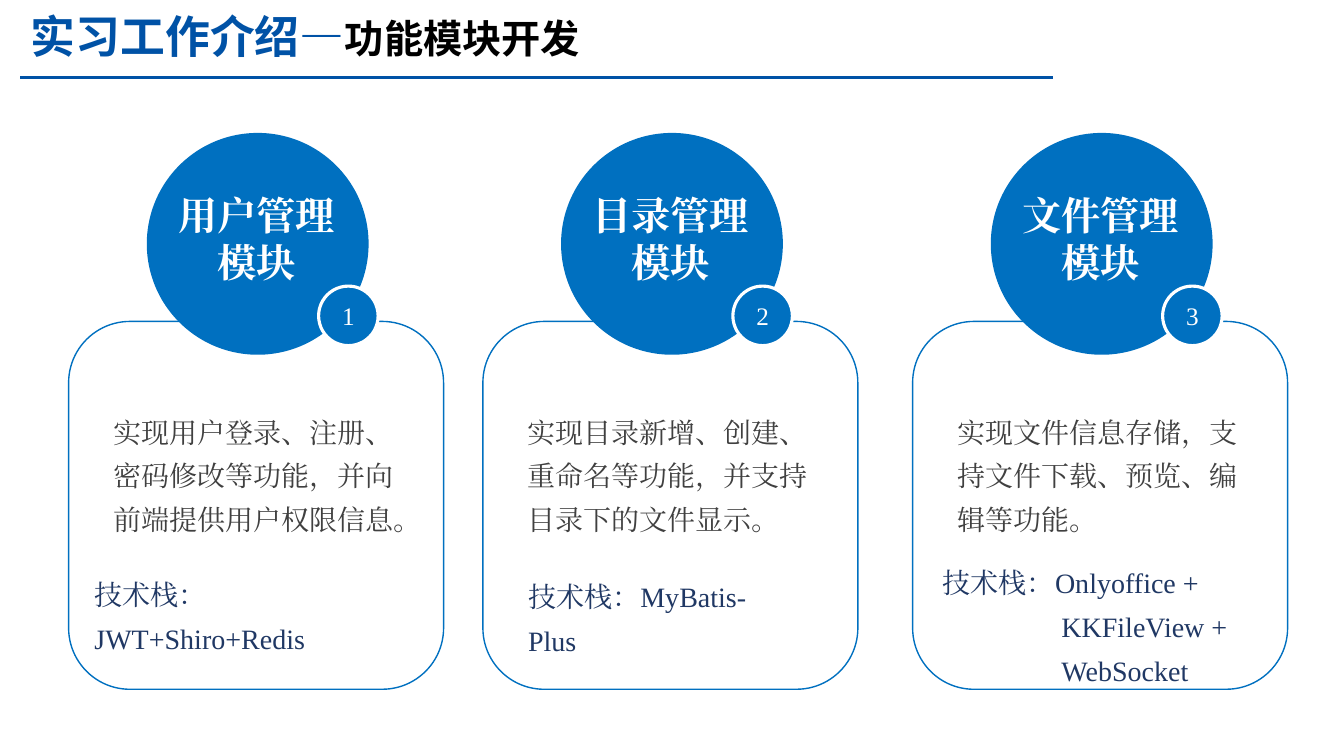
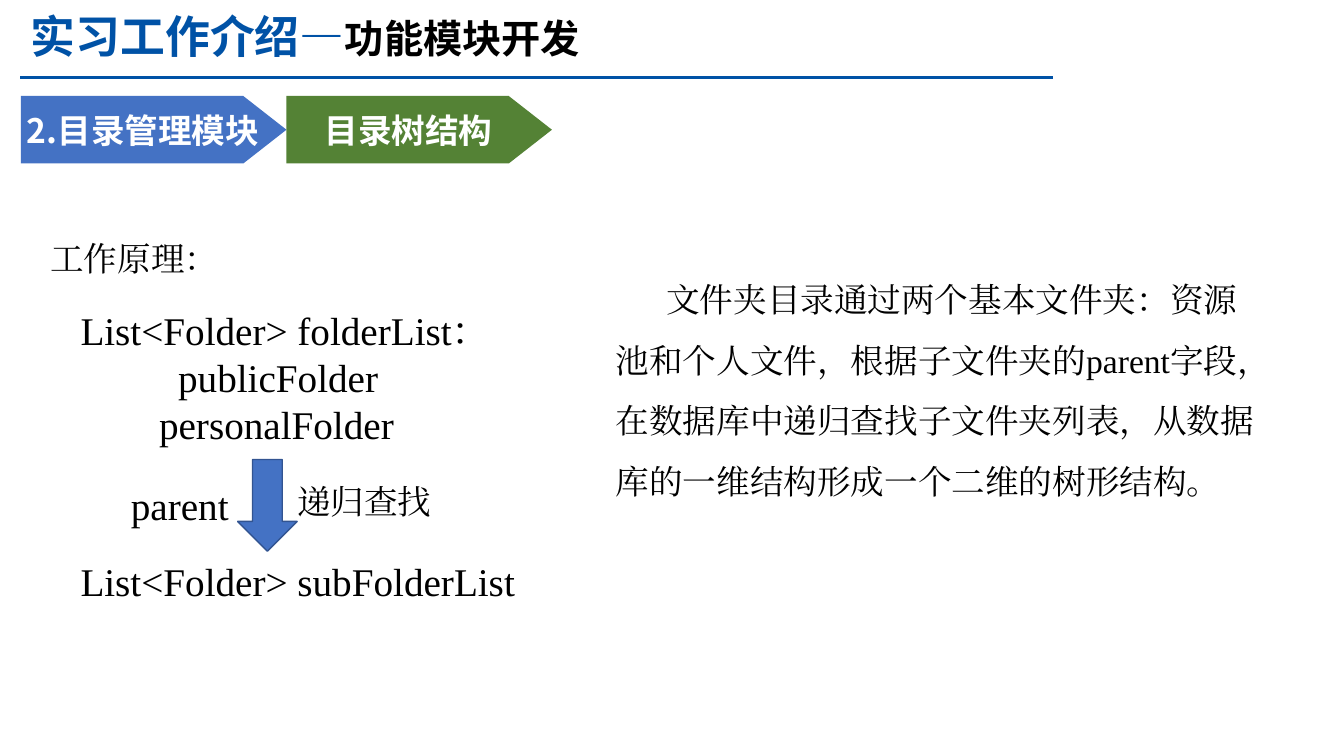
from lxml import etree
from pptx import Presentation
from pptx.dml.color import RGBColor
from pptx.enum.shapes import MSO_CONNECTOR, MSO_SHAPE
from pptx.enum.text import MSO_ANCHOR, MSO_AUTO_SIZE, PP_ALIGN
from pptx.oxml.ns import qn
from pptx.util import Cm, Pt

ROUND_RECT = MSO_SHAPE.ROUNDED_RECTANGLE
ELLIPSE = MSO_SHAPE.OVAL
DOWN_ARROW = MSO_SHAPE.DOWN_ARROW
HOME_PLATE = MSO_SHAPE.PENTAGON
LEFT, CENTER = PP_ALIGN.LEFT, PP_ALIGN.CENTER
TOP, MIDDLE = MSO_ANCHOR.TOP, MSO_ANCHOR.MIDDLE

SERIF = "Times New Roman"
SANS = "Noto Sans CJK SC"
TITLE_BLUE = "0052A6"
MODULE_BLUE = "0070C0"
STEP_BLUE = "4472C4"
STEP_GREEN = "548235"
ARROW_EDGE = "325491"
STACK_NAVY = "203864"
BODY_GREY = "404040"
BLACK = "000000"
WHITE = "FFFFFF"

TITLE_PARTS = [("实习工作介绍—", 32, TITLE_BLUE), ("功能模块开发", 28, BLACK)]

# Each module: card left, name, duties, stack (left offset, top, width, lines)
MODULES = [
    (1.73, "用户管理", "实现用户登录、注册、密码修改等功能，并向前端提供用户权限信息。",
     (0.4, 14.17, 7.4, ["技术栈：JWT+Shiro+Redis"])),
    (12.17, "目录管理", "实现目录新增、创建、重命名等功能，并支持目录下的文件显示。",
     (0.89, 14.22, 6.9, ["技术栈：MyBatis-Plus"])),
    (23.0, "文件管理", "实现文件信息存储，支持文件下载、预览、编辑等功能。",
     (0.51, 13.87, 8.5, ["技术栈：Onlyoffice +", "KKFileView +", "WebSocket"])),
]


def rgb(value):
    """Turn a hex string into a colour."""
    return RGBColor.from_string(value)


def style_run(run, size, color, bold=False, latin=SERIF, asian=SERIF):
    """Format one run, with a typeface for Latin and for Chinese text."""
    font = run.font
    font.size, font.bold, font.name = Pt(size), bold, latin
    font.color.rgb = rgb(color)
    etree.SubElement(run._r.get_or_add_rPr(), qn("a:ea")).set("typeface", asian)


def write(frame, lines, size, color, align=LEFT, spacing=1.0, indents=(), **style):
    """Fill a text frame with paragraphs of one style."""
    frame.text = "\n".join(lines)
    for paragraph in frame.paragraphs:
        paragraph.alignment, paragraph.line_spacing = align, spacing
        for run in paragraph.runs:
            style_run(run, size, color, **style)
    for paragraph, (margin, first) in zip(frame.paragraphs, indents):
        properties = paragraph._p.get_or_add_pPr()
        properties.set("marL", str(Cm(margin)))
        properties.set("indent", str(Cm(first)))


def set_insets(frame, horizontal, vertical):
    """Set equal side insets and equal top and bottom insets."""
    frame.margin_left = frame.margin_right = Cm(horizontal)
    frame.margin_top = frame.margin_bottom = Cm(vertical)


def add_text(slide, box, lines, size, color, insets=(0.25, 0.13), **style):
    """Add a wrapping text box."""
    frame = slide.shapes.add_textbox(*map(Cm, box)).text_frame
    frame.word_wrap = True
    set_insets(frame, *insets)
    write(frame, lines, size, color, **style)


def add_figure(slide, kind, box, fill=None, edge=None, width=1):
    """Add a preset shape with an optional fill and outline."""
    figure = slide.shapes.add_shape(kind, *map(Cm, box))
    figure.shadow.inherit = False
    if fill:
        figure.fill.solid()
        figure.fill.fore_color.rgb = rgb(fill)
    else:
        figure.fill.background()
    if edge:
        figure.line.color.rgb = rgb(edge)
        figure.line.width = Pt(width)
    else:
        figure.line.fill.background()
    return figure


def add_titled_slide(deck):
    """Add a slide with the shared title and the rule under it."""
    slide = deck.slides.add_slide(deck.slide_layouts[5])
    title = slide.shapes.title
    title.left, title.top, title.width, title.height = map(Cm, (0.53, 0.36, 22.33, 1.19))
    frame = title.text_frame
    frame.auto_size, frame.vertical_anchor = MSO_AUTO_SIZE.NONE, TOP
    set_insets(frame, 0.25, 0)
    heading = frame.paragraphs[0]
    heading.alignment, heading.line_spacing = LEFT, 0.9
    for text, size, color in TITLE_PARTS:
        run = heading.add_run()
        run.text = text
        style_run(run, size, color, bold=True, asian=SANS)
    rule = slide.shapes.add_connector(
        MSO_CONNECTOR.STRAIGHT, Cm(0.51), Cm(1.96), Cm(26.54), Cm(1.96))
    rule.line.color.rgb = rgb(TITLE_BLUE)
    rule.line.width = Pt(2.25)
    etree.SubElement(rule._element.spPr, qn("a:effectLst"))
    return slide


def add_module(slide, number, left, name, duties, stack):
    """Add one module: card, name circle, number badge and texts."""
    add_figure(slide, ROUND_RECT, (left, 8.1, 9.45, 9.27), edge=MODULE_BLUE)
    add_figure(slide, ELLIPSE, (left + 1.97, 3.35, 5.59, 5.59), MODULE_BLUE)
    badge = add_figure(slide, ELLIPSE, (left + 6.3, 7.21, 1.5, 1.5), MODULE_BLUE, WHITE, 2.25)
    badge.text_frame.vertical_anchor = MIDDLE
    write(badge.text_frame, [str(number)], 18, WHITE, align=CENTER)
    add_text(slide, (left + 2.26, 4.7, 4.95, 2.64), [name, "模块"], 28, WHITE,
             align=CENTER, bold=True)
    add_text(slide, (left + 1.12, 10.21, 7.75, 3.33), [duties], 20, BODY_GREY,
             insets=(0, 0), spacing=1.3)
    offset, top, width, lines = stack
    add_text(slide, (left + offset, top, width, 1.37 * max(2, len(lines))), lines, 20,
             STACK_NAVY, spacing=1.3, indents=[(0, 0), (2.99, 0), (2.99, 0)])


def add_step(slide, left, text, fill):
    """Add one pentagon of the breadcrumb."""
    step = add_figure(slide, HOME_PLATE, (left, 2.42, 6.69, 1.7), fill)
    step.adjustments[0] = 0.64
    frame = step.text_frame
    frame.word_wrap, frame.vertical_anchor = False, MIDDLE
    write(frame, [text], 24, WHITE, align=CENTER, bold=True, latin=SANS, asian=SANS)


def build_modules(deck):
    """Build the overview of the three modules."""
    slide = add_titled_slide(deck)
    for number, module in enumerate(MODULES, 1):
        add_module(slide, number, *module)


def build_directory_tree(deck):
    """Build the explanation of the directory tree."""
    slide = add_titled_slide(deck)
    add_step(slide, 0.53, "2.目录管理模块", STEP_BLUE)
    add_step(slide, 7.22, "目录树结构", STEP_GREEN)
    add_text(slide, (1.02, 5.36, 9.07, 1.63), ["工作原理："], 24, BLACK, spacing=1.5)
    add_text(slide, (1.78, 7.59, 11.91, 3.8),
             ["List<Folder> folderList：", "publicFolder", "personalFolder"], 28, BLACK,
             indents=[(0, 0), (2.46, 0), (1.98, 0)])
    add_figure(slide, DOWN_ARROW, (5.99, 11.58, 1.5, 2.31), STEP_BLUE, ARROW_EDGE)
    add_text(slide, (3.05, 11.99, 3, 1.45), ["parent"], 28, BLACK)
    add_text(slide, (7.24, 11.99, 4, 1.3), ["递归查找"], 24, BLACK)
    add_text(slide, (1.78, 13.92, 11.91, 1.45), ["List<Folder> subFolderList"], 28, BLACK)
    add_text(slide, (15.27, 6.4, 16.84, 6.22),
             ["文件夹目录通过两个基本文件夹：资源池和个人文件，根据子文件夹的parent字段，"
              "在数据库中递归查找子文件夹列表，从数据库的一维结构形成一个二维的树形结构。"],
             24, BLACK, spacing=1.5, indents=[(0, 1.27)])


def main():
    """Build and save the deck."""
    deck = Presentation()
    deck.slide_width, deck.slide_height = Cm(33.87), Cm(19.05)
    build_modules(deck)
    build_directory_tree(deck)
    deck.save("out.pptx")


if __name__ == "__main__":
    main()
